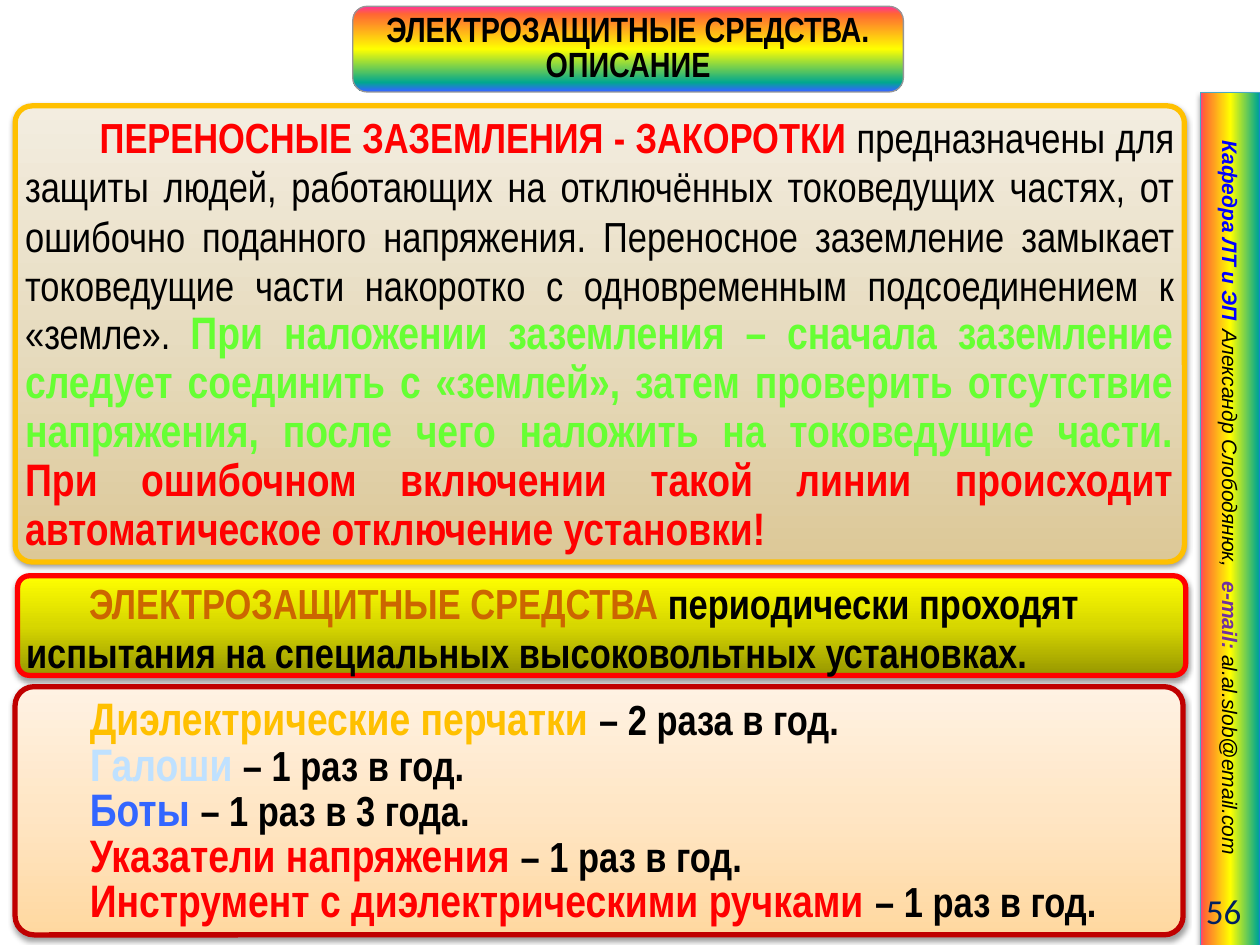
from dataclasses import dataclass

from lxml import etree
from pptx import Presentation
from pptx.dml.color import RGBColor
from pptx.enum.shapes import MSO_SHAPE
from pptx.enum.text import MSO_ANCHOR, PP_ALIGN
from pptx.oxml.ns import qn
from pptx.util import Inches, Pt

RECT, ROUNDED = MSO_SHAPE.RECTANGLE, MSO_SHAPE.ROUNDED_RECTANGLE
LEFT, CENTER, RIGHT, JUSTIFY = PP_ALIGN.LEFT, PP_ALIGN.CENTER, PP_ALIGN.RIGHT, PP_ALIGN.JUSTIFY
MIDDLE = MSO_ANCHOR.MIDDLE


@dataclass
class Theme:
    black: str = "000000"
    red: str = "FF0000"
    green: str = "66FF33"
    blue: str = "0000FF"
    bright_blue: str = "3366FF"
    purple: str = "7030A0"
    navy: str = "002060"
    amber: str = "FFC000"
    brown: str = "CC6600"
    dark_red: str = "C00000"
    grey: str = "969696"
    teal: str = "46AAC5"
    title_rainbow: tuple = ((0, "FF3399"), (9, "FF6633"), (50, "FFFF00"), (89, "01A78F"), (99, "3366FF"))
    side_rainbow: tuple = ((0, "FF3399"), (6, "FF6633"), (50, "FFFF00"), (96, "01A78F"), (100, "3366FF"))
    sand: tuple = ((0, "DCC897"), (50, "E7DCC0"), (100, "F3EDE0"))
    olive: tuple = ((0, "979700"), (50, "D7D700"), (100, "FFFF00"))
    peach: tuple = ((0, "FFD8A0"), (50, "FFE6C5"), (100, "FFF2E3"))
    sky: tuple = ((0, "96D0FF"), (50, "BFE1FF"), (100, "E0EFFF"))
    narrow: str = "Arial Narrow"
    sans: str = "Arial"
    number: str = "Calibri"
    side_size: int = 12
    title_size: int = 20
    body_size: int = 24
    strong_size: int = 26


T = Theme()


def paint_gradient(fill, holder, stops, angle=270):
    """Fill with colour stops; the angle runs clockwise from the left-to-right direction."""
    fill.gradient()
    fill.gradient_angle = 360 - angle
    stop_list = holder.find(qn("a:gradFill")).find(qn("a:gsLst"))
    for old_stop in list(stop_list):
        stop_list.remove(old_stop)
    for percent, color in stops:
        stop = etree.SubElement(stop_list, qn("a:gs"), pos=str(percent * 1000))
        etree.SubElement(stop, qn("a:srgbClr"), val=color)


def add_runs(paragraph, runs, **base):
    """Each run is (text, changes to the base format); outline is the opacity of a hairline."""
    for text, changes in runs:
        look = {**base, **changes}
        color, outline = look.pop("color"), look.pop("outline", None)
        run = paragraph.add_run()
        run.text = text
        for name, value in look.items():
            setattr(run.font, name, Pt(value) if name == "size" else value)
        properties = run._r.get_or_add_rPr()
        if isinstance(color, tuple):
            paint_gradient(run.font.fill, properties, color)
        else:
            run.font.fill.solid()
            run.font.fill.fore_color.rgb = RGBColor.from_string(color)
        if outline:
            line = etree.Element(qn("a:ln"), w="889")
            solid = etree.SubElement(line, qn("a:solidFill"))
            ink = etree.SubElement(solid, qn("a:srgbClr"), val=T.black)
            etree.SubElement(ink, qn("a:alpha"), val=str(outline * 1000))
            properties.insert(0, line)


prs = Presentation()
prs.slide_width, prs.slide_height = Inches(10), Inches(7.5)
slide = prs.slides.add_slide(prs.slide_layouts[6])

# Wording of the panels: one list of runs per paragraph
title = [[("ЭЛЕКТРОЗАЩИТНЫЕ СРЕДСТВА. ОПИСАНИЕ", {"size": T.title_size})]]
grounding = [[
    (" ", {"bold": False}),
    ("ПЕРЕНОСНЫЕ ЗАЗЕМЛЕНИЯ - ЗАКОРОТКИ ", {"color": T.red, "outline": 55}),
    ("предназначены для защиты людей, работающих на отключённых токоведущих частях, "
     "от ошибочно поданного напряжения. Переносное заземление замыкает токоведущие части "
     "накоротко с одновременным подсоединением к «земле». ", {"bold": False}),
    ("При наложении заземления – сначала заземление следует соединить с «землей», "
     "затем проверить отсутствие напряжения, после чего наложить на токоведущие части. ",
     {"size": T.strong_size, "color": T.green, "outline": 100}),
    ("При ошибочном включении такой линии происходит автоматическое отключение установки!",
     {"size": T.strong_size, "color": T.red, "outline": 100}),
]]
testing = [[
    ("ЭЛЕКТРОЗАЩИТНЫЕ СРЕДСТВА ", {"color": T.brown, "outline": 55}),
    ("периодически проходят испытания на специальных высоковольтных установках.", {}),
]]
schedule = [
    [(f"{item} ", {"size": T.strong_size, "color": color, "outline": outline}),
     (f"– {period} ", {})]
    for item, color, outline, period in [
        ("Диэлектрические перчатки", T.amber, 100, "2 раза в год."),
        ("Галоши", T.sky, 100, "1 раз в год."),
        ("Боты", T.bright_blue, 100, "1 раз в 3 года."),
        ("Указатели напряжения", T.red, 55, "1 раз в год."),
        ("Инструмент с диэлектрическими ручками", T.red, 55, "1 раз в год."),
    ]
]
side_text = [[
    ("Кафедра ЛТ и ЭП", {"color": T.blue}),
    ("\tАлександр Слободянюк,", {"bold": False}),
    ("\te-mail: ", {"color": T.purple}),
    ("al.al.slob@email.com", {"bold": False}),
]]

narrow = {"name": T.narrow, "size": T.body_size, "color": T.black, "bold": True}
side_font = {"name": T.sans, "size": T.side_size, "color": T.black, "bold": True, "italic": True}

side_panel = dict(box=(6.38, 3.88, 6.77, 0.48), kind=RECT, rotation=90, stops=T.side_rainbow,
                  line=T.teal, width=0.75, shadow=True, insets=(0.38, 0.05, 0, 0.05),
                  align=LEFT, tabs=(1.84, 3.83), font=side_font, text=side_text)
title_panel = dict(box=(2.8, 0.05, 4.37, 0.68), stops=T.title_rainbow, angle=90, line=T.grey,
                   width=0.75, align=CENTER, spacing=20, text=title)
grounding_panel = dict(box=(0.12, 0.84, 9.28, 3.62), corner=0.037, stops=T.sand, line=T.amber,
                       shadow=True, align=JUSTIFY, indent=0.51, spacing=28, text=grounding)
testing_panel = dict(box=(0.14, 4.57, 9.27, 0.79), corner=0.117, stops=T.olive, line=T.red,
                     shadow=True, insets=(0.04, 0.04, 0.04, 0), align=LEFT, indent=0.5,
                     spacing=28, text=testing)
schedule_panel = dict(box=(0.12, 5.45, 9.27, 1.97), corner=0.076, stops=T.peach, line=T.dark_red,
                      shadow=True, insets=(0.04, 0.04, 0.04, 0), align=JUSTIFY, indent=0.51,
                      spacing=26, text=schedule)

# Side strip, title and the three text panels
for panel in (side_panel, title_panel, grounding_panel, testing_panel, schedule_panel):
    shape = slide.shapes.add_shape(panel.get("kind", ROUNDED), *map(Inches, panel["box"]))
    shape.rotation = panel.get("rotation", 0)
    if "corner" in panel:
        shape.adjustments[0] = panel["corner"]
    paint_gradient(shape.fill, shape._element.spPr, panel["stops"], panel.get("angle", 270))
    shape.line.color.rgb = RGBColor.from_string(panel["line"])
    shape.line.width = Pt(panel.get("width", 3))

    # Soft shadow straight below
    shape.shadow.inherit = False
    if panel.get("shadow"):
        effects = shape._element.spPr.find(qn("a:effectLst"))
        shadow = etree.SubElement(effects, qn("a:outerShdw"), blurRad=str(Pt(3.1)),
                                  dist=str(Pt(1.6)), dir="5400000", rotWithShape="0")
        shade = etree.SubElement(shadow, qn("a:srgbClr"), val=T.black)
        etree.SubElement(shade, qn("a:alpha"), val="38000")

    # Text
    frame = shape.text_frame
    frame.word_wrap, frame.vertical_anchor = True, MIDDLE
    for edge, inset in zip(("left", "top", "right", "bottom"), panel.get("insets", (0.04,) * 4)):
        setattr(frame, f"margin_{edge}", Inches(inset))
    for index, runs in enumerate(panel["text"]):
        paragraph = frame.add_paragraph() if index else frame.paragraphs[0]
        paragraph.alignment = panel["align"]
        if "spacing" in panel:
            paragraph.line_spacing = Pt(panel["spacing"])
        properties = paragraph._p.get_or_add_pPr()
        properties.set("marL", "0")
        properties.set("indent", str(Inches(panel.get("indent", 0))))
        if "tabs" in panel:
            tab_list = etree.SubElement(properties, qn("a:tabLst"))
            for position in panel["tabs"]:
                etree.SubElement(tab_list, qn("a:tab"), pos=str(Inches(position)), algn="l")
        add_runs(paragraph, runs, **panel.get("font", narrow))

# Slide number
number = slide.shapes.add_textbox(Inches(8.86), Inches(7.03), Inches(1.09), Inches(0.4)).text_frame
number.word_wrap, number.vertical_anchor = True, MIDDLE
number.paragraphs[0].alignment = RIGHT
add_runs(number.paragraphs[0], [("56", {})], name=T.number, size=T.title_size, color=T.navy)

prs.save("out.pptx")
